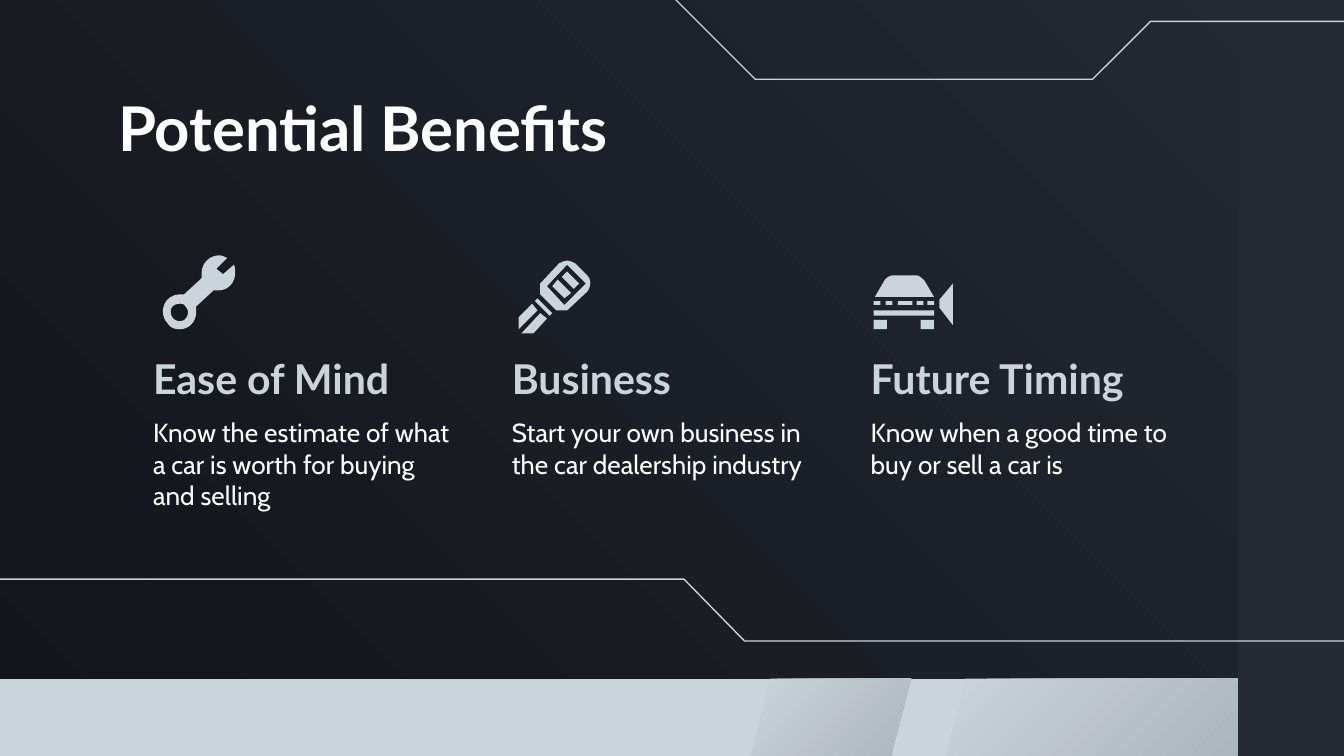
import pptx
import pptx.dml.color
import pptx.enum.shapes
import pptx.enum.text
import pptx.util

Inches = pptx.util.Inches
RGBColor = pptx.dml.color.RGBColor
ANCHOR = pptx.enum.text.MSO_ANCHOR

NIGHT = RGBColor(0x12, 0x15, 0x1A)
SLATE = RGBColor(0x24, 0x29, 0x33)
SILVER = RGBColor(0xCC, 0xD4, 0xDB)
STEEL = RGBColor(0xAB, 0xB3, 0xBB)
WHITE = RGBColor(0xFF, 0xFF, 0xFF)

TITLE_FONT = {"name": "Lato", "size": pptx.util.Pt(33), "bold": True}
HEADING_FONT = {"name": "Lato", "size": pptx.util.Pt(22), "bold": True}
BODY_FONT = {"name": "Cabin", "size": pptx.util.Pt(14), "bold": False}

# Outlines are in inches from the icon's corner; six numbers make a Bézier curve.
WRENCH = [[
    [(.17, .36), (.18, .36, .20, .36, .21, .38), (.25, .42, .22, .49, .17, .49),
     (.13, .49, .10, .46, .10, .42), (.10, .38, .13, .36, .17, .36)],
    [(.46, 0), (.39, 0, .33, .06, .33, .13), (.33, .17), (.20, .29), (.17, .29),
     (.05, .29, 0, .43, .08, .51), (.10, .54, .13, .55, .17, .55),
     (.23, .55, .29, .50, .29, .42), (.29, .38), (.42, .26), (.46, .26),
     (.53, .26, .58, .20, .58, .13), (.58, .11, .58, .09, .57, .07),
     (.49, .14), (.44, .10), (.52, .02), (.50, .01, .48, 0, .46, 0)],
]]
KEY = [
    [[(.29, .14), (.25, .19), (.34, .28), (.39, .24)]],
    [[(.36, .08), (.32, .12), (.41, .21), (.45, .17)]],
    [[(.36, .03), (.50, .17), (.34, .33), (.21, .19)],
     [(.36, 0), (.34, 0, .32, .01, .30, .02), (.16, .17), (.16, .25), (.28, .37),
      (.36, .37), (.51, .23), (.54, .19, .54, .14, .51, .11), (.42, .02),
      (.40, .01, .38, 0, .36, 0)]],
    [[(.10, .32), (0, .42), (0, .51), (.14, .37)]],
    [[(.14, .28), (.12, .30), (.23, .41), (.25, .39)]],
    [[(.16, .39), (.02, .54), (.11, .54), (.21, .43)]],
]
CAR = [
    [[(.14, 0), (.12, 0, .09, .02, .08, .04), (.01, .16), (.45, .16), (.38, .04),
      (.36, .02, .34, 0, .32, 0)]],
    [[(.59, .06), (.49, .18), (.49, .24), (.59, .37)]],
]
CAR_BARS = [(x, .19, width, .03) for x, width in
            ((0, .05), (.09, .05), (.18, .11), (.32, .05), (.40, .05))]
CAR_BARS += [(0, .26, .45, .04), (0, .33, .10, .07), (.35, .33, .10, .07)]

# Heading, body, icon offset in the column, icon outlines, icon bars
BENEFITS = [
    ("Ease of Mind", "Know the estimate of what a car is worth for buying and selling",
     (.13, 0), WRENCH, []),
    ("Business", "Start your own business in the car dealership industry",
     (.15, .04), KEY, []),
    ("Future Timing", "Know when a good time to buy or sell a car is",
     (.12, .15), CAR, CAR_BARS),
]


def paint(shape, color):
    shape.shadow.inherit = False
    shape.fill.solid()
    shape.fill.fore_color.rgb = color
    shape.line.fill.background()


def paint_gradient(fill, colors, angle):
    fill.gradient()
    fill.gradient_angle = angle
    for stop, color in zip(fill.gradient_stops, colors):
        stop.color.rgb = color


def flatten(contour, steps=8):
    """Turn the curves of a contour into short straight segments."""
    points = []
    for node in contour:
        if len(node) == 2:
            points.append(node)
            continue
        corners = [points[-1], node[:2], node[2:4], node[4:]]
        for step in range(1, steps + 1):
            t = step / steps
            weights = ((1 - t) ** 3, 3 * t * (1 - t) ** 2, 3 * t * t * (1 - t), t ** 3)
            points.append(tuple(sum(w * corner[axis] for w, corner in zip(weights, corners))
                                for axis in (0, 1)))
    return points


def add_outline(page, left, top, contours, closed=True):
    builder = None
    for contour in contours:
        points = [(Inches(left + x), Inches(top + y)) for x, y in flatten(contour)]
        if builder is None:
            builder = page.shapes.build_freeform(*points[0])
        else:
            builder.move_to(*points[0])
        builder.add_line_segments(points[1:], close=closed)
    return builder.convert_to_shape()


def add_bar(page, left, top, width, height, color):
    bar = page.shapes.add_shape(pptx.enum.shapes.MSO_SHAPE.RECTANGLE,
                                *map(Inches, (left, top, width, height)))
    paint(bar, color)


def write(box, text, font, color, anchor=ANCHOR.TOP):
    frame = box.text_frame
    settings = {"word_wrap": True, "auto_size": pptx.enum.text.MSO_AUTO_SIZE.NONE,
                "vertical_anchor": anchor}
    settings.update({f"margin_{side}": Inches(.1)
                     for side in ("left", "top", "right", "bottom")})
    for name, value in settings.items():
        setattr(frame, name, value)
    para = frame.paragraphs[0]
    para.alignment = pptx.enum.text.PP_ALIGN.LEFT
    span = para.add_run()
    span.text = text
    for name, value in font.items():
        setattr(span.font, name, value)
    span.font.color.rgb = color


def add_circuit_line(page, left, top, points):
    line = add_outline(page, left, top, [points], closed=False)
    line.shadow.inherit = False
    line.fill.background()
    line.line.color.rgb = SILVER
    line.line.width = pptx.util.Pt(.75)


def add_floor(page, left, top, width, height):
    """Silver band along the foot, with two slanted panels."""
    band = [(-.07, 0), (-.07, height), (width, height), (width, 0)]
    paint(add_outline(page, left, top, [band]), SILVER)
    for start, end, slant in ((5.55, 6.78, .19), (7, width, 0)):
        panel = [(start + .18, 0), (start, height), (end - slant, height), (end, 0)]
        shape = add_outline(page, left, top, [panel])
        paint(shape, SILVER)
        paint_gradient(shape.fill, (SILVER, STEEL), 315)


def add_title(page, left, top, width, height):
    title = page.shapes.title
    title.left, title.top, title.width, title.height = map(Inches, (left, top, width, height))
    write(title, "Potential Benefits", TITLE_FONT, WHITE)


def add_benefit(page, left, top, width, benefit):
    """One column: icon, heading and body."""
    heading, body, (icon_x, icon_y), outlines, bars = benefit
    for text, offset, height, font, color, anchor in (
            (heading, .75, .45, HEADING_FONT, SILVER, ANCHOR.BOTTOM),
            (body, 1.1, .94, BODY_FONT, WHITE, ANCHOR.TOP)):
        box = page.shapes.add_textbox(*map(Inches, (left, top + offset, width, height)))
        write(box, text, font, color, anchor)
    icon_left, icon_top = left + icon_x, top + icon_y
    for contours in outlines:
        paint(add_outline(page, icon_left, icon_top, contours), SILVER)
    for x, y, bar_width, bar_height in bars:
        add_bar(page, icon_left + x, icon_top + y, bar_width, bar_height, SILVER)


def main():
    deck = pptx.Presentation()
    deck.slide_width = Inches(10)
    deck.slide_height = deck.slide_width * 9 // 16
    page = deck.slides.add_slide(deck.slide_layouts[5])
    paint_gradient(page.background.fill, (NIGHT, SLATE), 45)

    add_bar(page, 9.21, 0, .79, 5.63, SLATE)
    add_floor(page, 0, 5.05, 9.21, .73)
    add_circuit_line(page, 4.96, -.07, [(0, 0), (.66, .66), (3.17, .66), (3.6, .23), (6, .23)])
    add_title(page, .78, .57, 8.44, .63)
    for column, benefit in enumerate(BENEFITS):
        add_benefit(page, 1.04 + 2.67 * column, 1.9, 2.45, benefit)
    add_circuit_line(page, 0, 4.31, [(0, 0), (5.09, 0), (5.54, .46), (10, .46)])
    deck.save("out.pptx")


if __name__ == "__main__":
    main()
